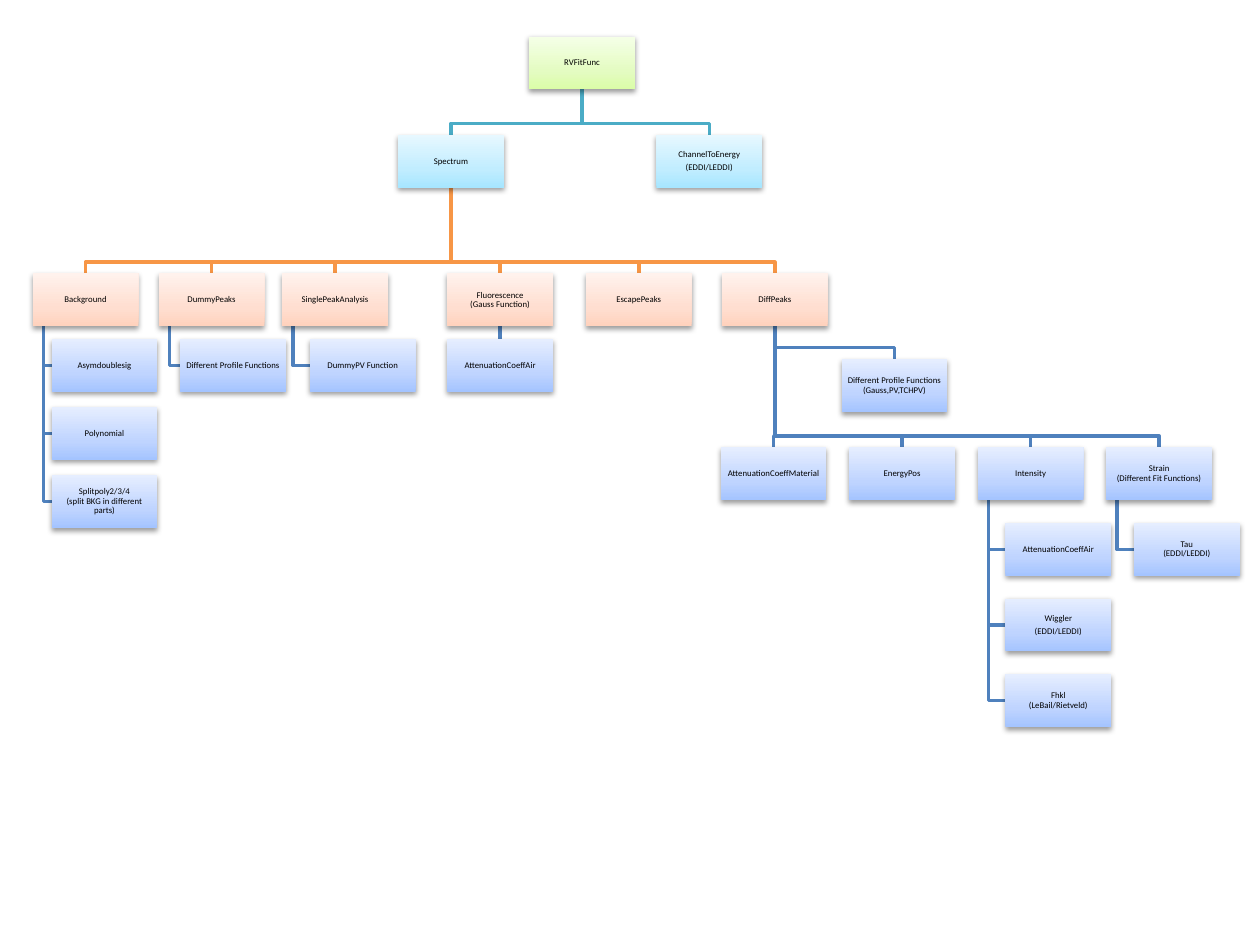
from lxml import etree
from pptx import Presentation
from pptx.dml.color import RGBColor
from pptx.enum import shapes, text
from pptx.oxml import ns
from pptx.util import Inches, Pt

# Gradients from bottom to top
GREEN = [RGBColor(0xDA, 0xFD, 0xA7), RGBColor(0xE4, 0xFC, 0xC2), RGBColor(0xF5, 0xFF, 0xE7)]
CYAN = [RGBColor(0xA7, 0xE6, 0xFF), RGBColor(0xC1, 0xED, 0xFF), RGBColor(0xE7, 0xF8, 0xFF)]
ORANGE = [RGBColor(0xFF, 0xD2, 0xBD), RGBColor(0xFF, 0xDE, 0xD0), RGBColor(0xFF, 0xF2, 0xED)]
BLUE = [RGBColor(0xA4, 0xC4, 0xFF), RGBColor(0xBF, 0xD4, 0xFF), RGBColor(0xE6, 0xEE, 0xFF)]
STOPS = (0, 35, 100)
BLACK = RGBColor(0, 0, 0)
TEAL_LINE = RGBColor(0x4B, 0xAC, 0xC6)
ORANGE_LINE = RGBColor(0xF7, 0x96, 0x46)
BLUE_LINE = RGBColor(0x4F, 0x81, 0xBD)

BOX_W, BOX_H = Inches(0.84), Inches(0.42)
BUS_GAP = Inches(0.09)


def sub(parent, tag, **attrs):
    return etree.SubElement(parent, ns.qn(tag), attrs)


def write(sp, content, size=5, font="Calibri", color=BLACK):
    """Centred text: a newline starts a paragraph, a vertical tab breaks a line."""
    tf = sp.text_frame
    tf.word_wrap = True
    tf.vertical_anchor = text.MSO_ANCHOR.MIDDLE
    tf.margin_left = tf.margin_right = tf.margin_top = tf.margin_bottom = 0
    tf.text = content
    for p in tf.paragraphs:
        p.alignment = text.PP_ALIGN.CENTER
        p.line_spacing = 0.9
        p.space_after = Pt(0)
        after = p._p.pPr.find(ns.qn("a:spcAft"))
        after.clear()
        sub(after, "a:spcPct", val="35000")
        for r in p.runs:
            r.font.size, r.font.name = Pt(size), font
            r.font.color.rgb = color
        for br in p._p.findall(ns.qn("a:br")):
            sub(br, "a:rPr", sz=str(size * 100))


def add_box(sl, content, left, top, colors=BLUE):
    sp = sl.shapes.add_shape(shapes.MSO_SHAPE.RECTANGLE, left, top, BOX_W, BOX_H)
    sp.line.fill.background()
    # Three-stop gradient
    sp.fill.gradient()
    sp.fill.gradient_angle = 90
    stop_list = sp._element.spPr.find(".//" + ns.qn("a:gsLst"))
    stop_list.clear()
    for pos, color in zip(STOPS, colors):
        stop = sub(stop_list, "a:gs", pos=str(pos * 1000))
        sub(stop, "a:srgbClr", val=str(color))
    # Soft shadow below
    sp.shadow.inherit = False
    effects = sp._element.spPr.find(ns.qn("a:effectLst"))
    shadow = sub(effects, "a:outerShdw", blurRad=str(Pt(3.1)), dist=str(Pt(1.6)),
                 dir="5400000", rotWithShape="0")
    sub(sub(shadow, "a:srgbClr", val="000000"), "a:alpha", val="38000")
    write(sp, content)
    return sp


def send_to_back(sl, sp):
    sl.shapes._spTree.insert(2, sp._element)


def add_elbow(sl, points, color):
    builder = sl.shapes.build_freeform(*points[0])
    builder.add_line_segments(points[1:], close=False)
    sp = builder.convert_to_shape()
    sp.fill.background()
    sp.line.color.rgb, sp.line.width = color, Pt(2)
    sp.shadow.inherit = False
    send_to_back(sl, sp)


def link_bus(sl, parent, children, color):
    """Lines from the parent's bottom over a shared bar to each child's top."""
    x, y = parent.left + BOX_W // 2, parent.top + BOX_H
    for child in children:
        cx, bar = child.left + BOX_W // 2, child.top - BUS_GAP
        add_elbow(sl, [(x, y), (x, bar), (cx, bar), (cx, child.top)], color)


def link_straight(sl, parent, child, color):
    cn = sl.shapes.add_connector(shapes.MSO_CONNECTOR.STRAIGHT, 0, 0, 0, 0)
    cn.begin_connect(parent, 2)
    cn.end_connect(child, 0)
    cn.line.color.rgb, cn.line.width = color, Pt(2)
    sub(cn._element.spPr, "a:effectLst")
    send_to_back(sl, cn)


def add_hanging(sl, parent, labels, dx, dy, step=0):
    """Column of boxes hung from the lower left of the parent."""
    x, y = parent.left + BOX_W // 10, parent.top + BOX_H
    for i, label in enumerate(labels):
        child = add_box(sl, label, parent.left + dx, parent.top + dy + i * step)
        mid = child.top + BOX_H // 2
        add_elbow(sl, [(x, y), (x, mid), (child.left, mid)], BLUE_LINE)


def add_top(sl, left, top):
    """Root and its two children; returns the Spectrum box."""
    root = add_box(sl, "RVFitFunc", left + Inches(1.04), top, GREEN)
    row = top + Inches(0.78)
    spectrum = add_box(sl, "Spectrum", left, row, CYAN)
    channel = add_box(sl, "ChannelToEnergy\n(EDDI/LEDDI)", left + Inches(2.05), row, CYAN)
    link_bus(sl, root, [spectrum, channel], TEAL_LINE)
    return spectrum


def add_components(sl, spectrum, top):
    """Parts of the spectrum with their functions; returns the DiffPeaks box."""
    parts = [("Background", 0.26), ("DummyPeaks", 1.26), ("SinglePeakAnalysis", 2.24),
             ("Fluorescence\v(Gauss Function)", 3.55), ("EscapePeaks", 4.65),
             ("DiffPeaks", 5.73)]
    row = [add_box(sl, label, Inches(x), top, ORANGE) for label, x in parts]
    link_bus(sl, spectrum, row, ORANGE_LINE)
    background, dummy, single, fluorescence, _, diff = row

    drop = Inches(0.52)
    add_hanging(sl, background,
                ["Asymdoublesig", "Polynomial",
                 "Splitpoly2/3/4\v(split BKG in different\vparts)"],
                Inches(0.15), drop, Inches(0.54))
    add_hanging(sl, dummy, ["Different Profile Functions"], Inches(0.17), drop)
    add_hanging(sl, single, ["DummyPV Function"], Inches(0.22), drop)
    air = add_box(sl, "AttenuationCoeffAir", fluorescence.left, top + drop)
    link_straight(sl, fluorescence, air, BLUE_LINE)
    return diff


def add_diff_peaks(sl, diff, left, top):
    """Everything below DiffPeaks."""
    profile = add_box(sl, "Different Profile Functions\v(Gauss,PV,TCHPV)",
                      diff.left + Inches(0.95), diff.top + Inches(0.68))
    labels = ["AttenuationCoeffMaterial", "EnergyPos", "Intensity",
              "Strain\v(Different Fit Functions)"]
    row = [add_box(sl, label, left + i * Inches(1.02), top) for i, label in enumerate(labels)]
    link_bus(sl, diff, [profile] + row, BLUE_LINE)

    dx, dy = Inches(0.22), Inches(0.6)
    add_hanging(sl, row[2],
                ["AttenuationCoeffAir", "Wiggler\n(EDDI/LEDDI)", "Fhkl\v(LeBail/Rietveld)"],
                dx, dy, dy)
    add_hanging(sl, row[3], ["Tau\v(EDDI/LEDDI)"], dx, dy)


def main():
    prs = Presentation()
    prs.slide_width, prs.slide_height = Inches(10), Inches(7.5)
    sl = prs.slides.add_slide(prs.slide_layouts[6])
    spectrum = add_top(sl, Inches(3.16), Inches(0.29))
    diff = add_components(sl, spectrum, Inches(2.17))
    add_diff_peaks(sl, diff, Inches(5.72), Inches(3.55))
    prs.save("out.pptx")


if __name__ == "__main__":
    main()
